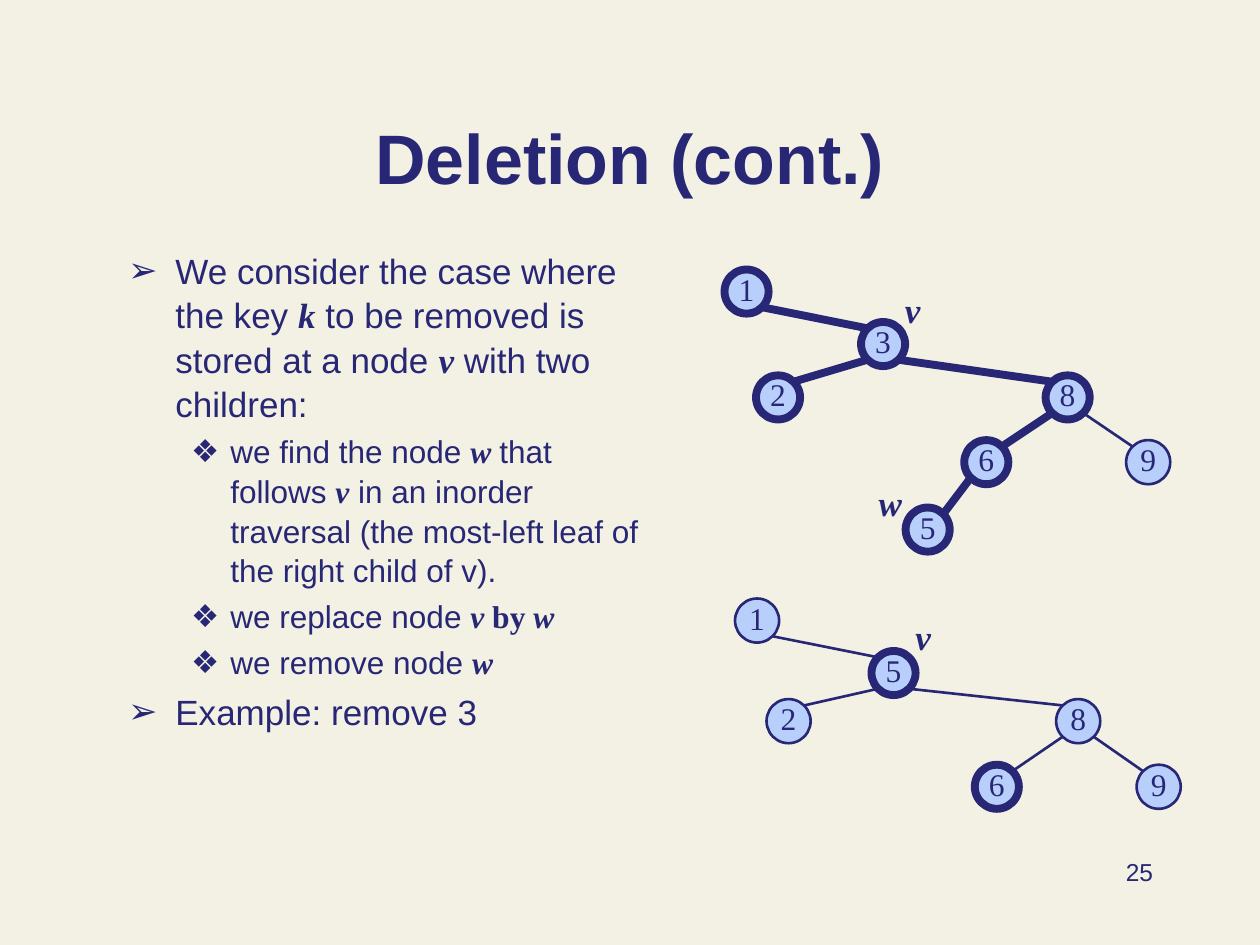
from lxml import etree
from pptx import Presentation
from pptx.dml.color import RGBColor
from pptx.enum.shapes import MSO_CONNECTOR, MSO_SHAPE
from pptx.enum.text import MSO_ANCHOR, MSO_AUTO_SIZE, PP_ALIGN
from pptx.oxml.ns import qn
from pptx.util import Pt

OVAL, STRAIGHT = MSO_SHAPE.OVAL, MSO_CONNECTOR.STRAIGHT
CENTER, RIGHT = PP_ALIGN.CENTER, PP_ALIGN.RIGHT
MIDDLE, BOTTOM = MSO_ANCHOR.MIDDLE, MSO_ANCHOR.BOTTOM
COLORS = {"bg": "F3F1E4", "ink": "272776", "node": "B8CFFB"}
SANS, SERIF = "Arial", "Times New Roman"
INK = RGBColor.from_string(COLORS["ink"])
NODE = 25.2   # node diameter
INSET = 3.6   # from the node's box to where an edge ends
THICK, THIN = 4.5, 1.5


def style(r, size, name=SANS, bold=False, italic=False):
    r.font.size, r.font.name = Pt(size), name
    r.font.bold, r.font.italic = bold, italic
    r.font.color.rgb = INK


def add_label(text, x, y, w, h):
    tf = slide.shapes.add_textbox(Pt(x), Pt(y), Pt(w), Pt(h)).text_frame
    tf.word_wrap = True
    tf.text = text
    return tf.paragraphs[0]


prs = Presentation()
prs.slide_width, prs.slide_height = Pt(720), Pt(540)
slide = prs.slides.add_slide(prs.slide_layouts[1])
slide.background.fill.solid()
slide.background.fill.fore_color.rgb = RGBColor.from_string(COLORS["bg"])

# Title
sp = slide.shapes.title
sp.left, sp.top, sp.width, sp.height = Pt(54), Pt(39), Pt(612), Pt(78)
tf = sp.text_frame
tf.text = "Deletion (cont.)"
tf.auto_size = MSO_AUTO_SIZE.NONE
tf.vertical_anchor = BOTTOM
tf.paragraphs[0].alignment = CENTER
style(tf.paragraphs[0].runs[0], 40, bold=True)

# Bullet list: level, then runs; "i" is a variable, "b" bold serif
bullets = [
    (0, [("We consider the case where the key ", ""), ("k", "i"),
         (" to be removed is stored at a node ", ""), ("v", "i"),
         (" with two children:", "")]),
    (1, [("we find the node ", ""), ("w ", "i"), ("that follows ", ""), ("v", "i"),
         (" in an inorder traversal (the most-left leaf of the right child of v).", "")]),
    (1, [("we replace node ", ""), ("v ", "i"), ("by", "b"), (" w", "i")]),
    (1, [("we remove node ", ""), ("w", "i")]),
    (0, [("Example: remove 3", "")]),
]
# size, space before, left margin, hanging indent, bullet
levels = [(20, 4, 27, -27, "➢"), (18, 3.6, 58.5, -22.5, "❖")]

sp = slide.placeholders[1]
sp.left, sp.top, sp.width, sp.height = Pt(66), Pt(138), Pt(306), Pt(324)
tf = sp.text_frame
tf.auto_size = MSO_AUTO_SIZE.NONE
for i, (level, runs) in enumerate(bullets):
    size, before, margin, indent, char = levels[level]
    p = tf.add_paragraph() if i else tf.paragraphs[0]
    p.level = level
    p.line_spacing = 1.05
    p.space_before = Pt(before if i else 0)
    pPr = p._p.get_or_add_pPr()
    pPr.set("marL", str(Pt(margin)))
    pPr.set("indent", str(Pt(indent)))
    etree.SubElement(pPr, qn("a:buChar")).set("char", char)
    for text, kind in runs:
        r = p.add_run()
        r.text = text
        style(r, size, SERIF if kind else SANS, bold=bool(kind), italic=kind == "i")

# Trees: nodes as key: (left, top, outline), edges as (parent, child)
before_tree = {
    1: (414, 154, THICK), 3: (492, 184, THICK), 2: (432, 214.5, THICK),
    8: (597.5, 214.5, THICK), 6: (551, 251.5, THICK), 9: (643.5, 251.5, THIN),
    5: (517.5, 290, THICK),
}
after_tree = {
    1: (420, 342, THIN), 5: (498, 372, THICK), 2: (438, 399.5, THIN),
    8: (603.5, 399.5, THIN), 6: (557, 437, THICK), 9: (649.5, 437, THIN),
}
trees = [
    (before_tree, [(1, 3), (3, 2), (3, 8), (8, 6), (8, 9), (6, 5)]),
    (after_tree, [(1, 5), (5, 2), (5, 8), (8, 6), (8, 9)]),
]
for nodes, edges in trees:
    # An edge runs from the parent's lower corner to the child's upper one
    for parent, child in edges:
        (x1, y1, w1), (x2, y2, w2) = nodes[parent], nodes[child]
        near, far = (NODE - INSET, INSET) if x2 > x1 else (INSET, NODE - INSET)
        line = slide.shapes.add_connector(
            STRAIGHT, Pt(x1 + near), Pt(y1 + NODE - INSET), Pt(x2 + far), Pt(y2 + INSET))
        line.line.color.rgb = INK
        line.line.width = Pt(min(w1, w2))
        etree.SubElement(line._element.spPr, qn("a:effectLst"))
    for key, (x, y, width) in nodes.items():
        sp = slide.shapes.add_shape(OVAL, Pt(x), Pt(y), Pt(NODE), Pt(NODE))
        sp.shadow.inherit = False
        sp.fill.solid()
        sp.fill.fore_color.rgb = RGBColor.from_string(COLORS["node"])
        sp.line.color.rgb = INK
        sp.line.width = Pt(width)
        tf = sp.text_frame
        tf.margin_left = tf.margin_right = tf.margin_top = 0
        tf.margin_bottom = Pt(3.6)
        tf.vertical_anchor = MIDDLE
        tf.word_wrap = False
        tf.text = str(key)
        tf.paragraphs[0].alignment = CENTER
        style(tf.paragraphs[0].runs[0], 18, SERIF)

# Node names
for name, x, y, w in [("v", 510, 161.5, 23), ("w", 495, 271.5, 28), ("v", 516, 348, 23)]:
    p = add_label(name, x, y, w, 31)
    style(p.runs[0], 20, SERIF, bold=True, italic=True)

# Slide number
p = add_label("25", 516, 486, 150, 36)
p.alignment = RIGHT
style(p.runs[0], 14)

prs.save("out.pptx")
